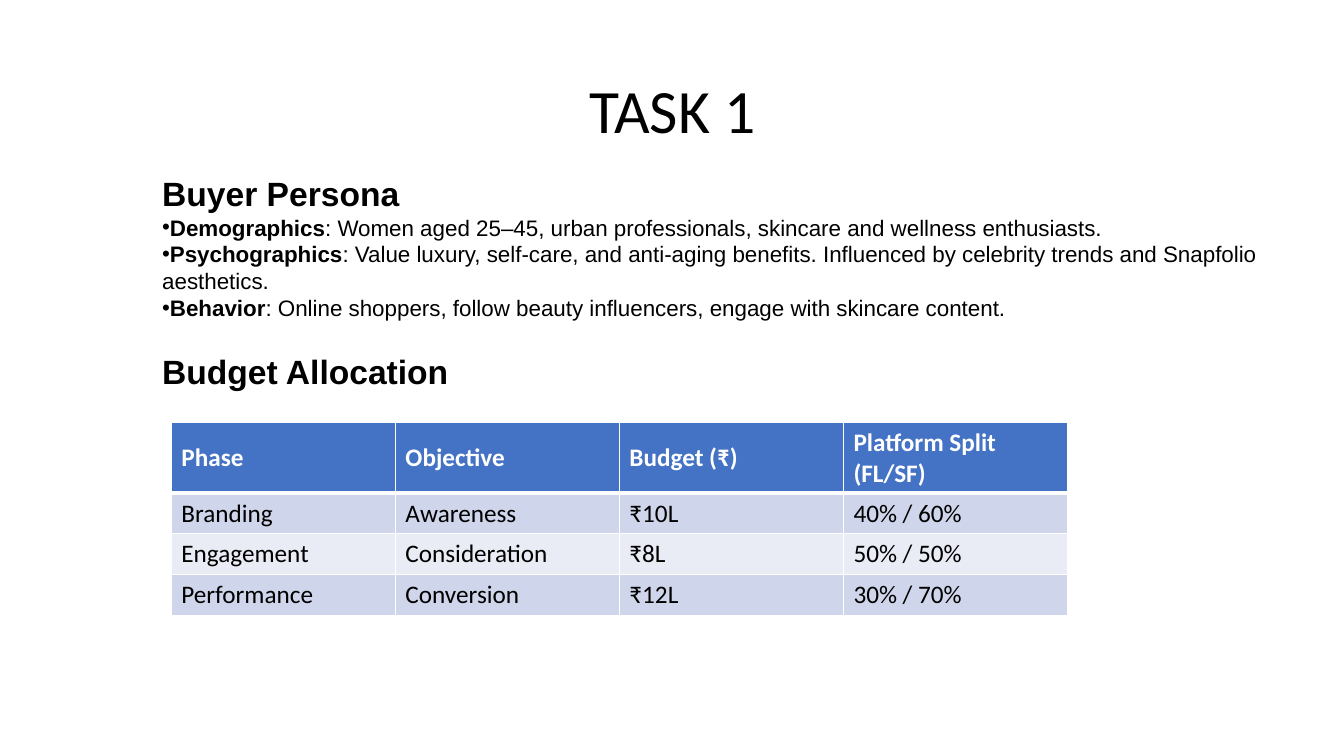
from dataclasses import dataclass

from lxml import etree
from pptx import Presentation
from pptx import util as u
from pptx.dml.color import RGBColor
from pptx.enum import text as t
from pptx.oxml import ns

WIDE, HIGH = u.Inches(13.333), u.Inches(7.5)
BLACK, WHITE, BLUE = "000000", "FFFFFF", "4472C4"
BANDS = ("CFD5EA", "E9EBF5")


@dataclass
class Area:
    left: float
    top: float
    width: float
    height: float

    def place(self) -> tuple:
        return across(self.left), down(self.top), across(self.width), down(self.height)


@dataclass
class Trait:
    name: str
    note: str


TITLE = Area(6.9, 5.33, 86.25, 19.33)
BODY = Area(11.33, 22.27, 85.07, 35.87)
GRID = Area(12.75, 55.87, 66.68, 25.4)
HEAD, ROW = 9.2, 5.4

TRAITS = [
    Trait("Demographics", ": Women aged 25–45, urban professionals, skincare and wellness enthusiasts."),
    Trait("Psychographics", ": Value luxury, self-care, and anti-aging benefits. "
          "Influenced by celebrity trends and Snapfolio aesthetics."),
    Trait("Behavior", ": Online shoppers, follow beauty influencers, engage with skincare content."),
]
PLAN = [
    ("Phase", "Objective", "Budget (₹)", "Platform Split (FL/SF)"),
    ("Branding", "Awareness", "₹10L", "40% / 60%"),
    ("Engagement", "Consideration", "₹8L", "50% / 50%"),
    ("Performance", "Conversion", "₹12L", "30% / 70%"),
]


def across(share: float) -> int:
    return round(WIDE * share / 100)


def down(share: float) -> int:
    return round(HIGH * share / 100)


def color(code: str) -> RGBColor:
    return RGBColor.from_string(code)


def write(par, words: str, size: float = 18, font: str = "Calibri",
          ink: str = BLACK, bold: bool = False) -> None:
    run = par.add_run()
    run.text = words
    run.font.size = u.Pt(size)
    run.font.name = font
    run.font.bold = bold
    run.font.color.rgb = color(ink)


def add_text(slide, area: Area):
    frame = slide.shapes.add_textbox(*area.place()).text_frame
    frame.word_wrap = True
    return frame


def add_dot(par) -> None:
    props = par._p.get_or_add_pPr()
    props.set("marL", "0")
    props.set("indent", "0")
    etree.SubElement(props, ns.qn("a:buFont")).set("typeface", "Arial")
    etree.SubElement(props, ns.qn("a:buChar")).set("char", "•")


def add_edge(cell, side: str, width: float) -> None:
    line = etree.SubElement(cell._tc.get_or_add_tcPr(), ns.qn(f"a:ln{side}"))
    line.set("w", str(u.Pt(width)))
    fill = etree.SubElement(line, ns.qn("a:solidFill"))
    etree.SubElement(fill, ns.qn("a:srgbClr")).set("val", WHITE)


def draw_title(slide) -> None:
    frame = add_text(slide, TITLE)
    frame.vertical_anchor = t.MSO_ANCHOR.MIDDLE
    par = frame.paragraphs[0]
    par.alignment = t.PP_ALIGN.CENTER
    par.line_spacing = 0.9
    write(par, "TASK 1", size=44)


def draw_body(slide) -> None:
    frame = add_text(slide, BODY)
    write(frame.paragraphs[0], "Buyer Persona", size=24, font="Arial", bold=True)
    for trait in TRAITS:
        par = frame.add_paragraph()
        add_dot(par)
        write(par, trait.name, size=16, font="Arial", bold=True)
        write(par, trait.note, size=16, font="Arial")
    par = frame.add_paragraph()
    par.space_before = u.Pt(21)
    write(par, "Budget Allocation", size=24, font="Arial", bold=True)


def draw_plan(slide) -> None:
    count = len(PLAN[0])
    table = slide.shapes.add_table(len(PLAN), count, *GRID.place()).table
    for col in table.columns:
        col.width = across(GRID.width / count)
    for r, row in enumerate(PLAN):
        head = r == 0
        table.rows[r].height = down(HEAD if head else ROW)
        for c, words in enumerate(row):
            cell = table.cell(r, c)
            cell.vertical_anchor = t.MSO_ANCHOR.MIDDLE
            for side in "LRTB":
                thick = (r, side) in ((0, "B"), (1, "T"))
                add_edge(cell, side, 3 if thick else 1)
            cell.fill.solid()
            cell.fill.fore_color.rgb = color(BLUE if head else BANDS[(r - 1) % 2])
            write(cell.text_frame.paragraphs[0], words,
                  ink=WHITE if head else BLACK, bold=head)


def main() -> None:
    deck = Presentation()
    deck.slide_width, deck.slide_height = WIDE, HIGH
    slide = deck.slides.add_slide(deck.slide_layouts[6])
    draw_body(slide)
    draw_plan(slide)
    draw_title(slide)
    deck.save("out.pptx")


if __name__ == "__main__":
    main()
